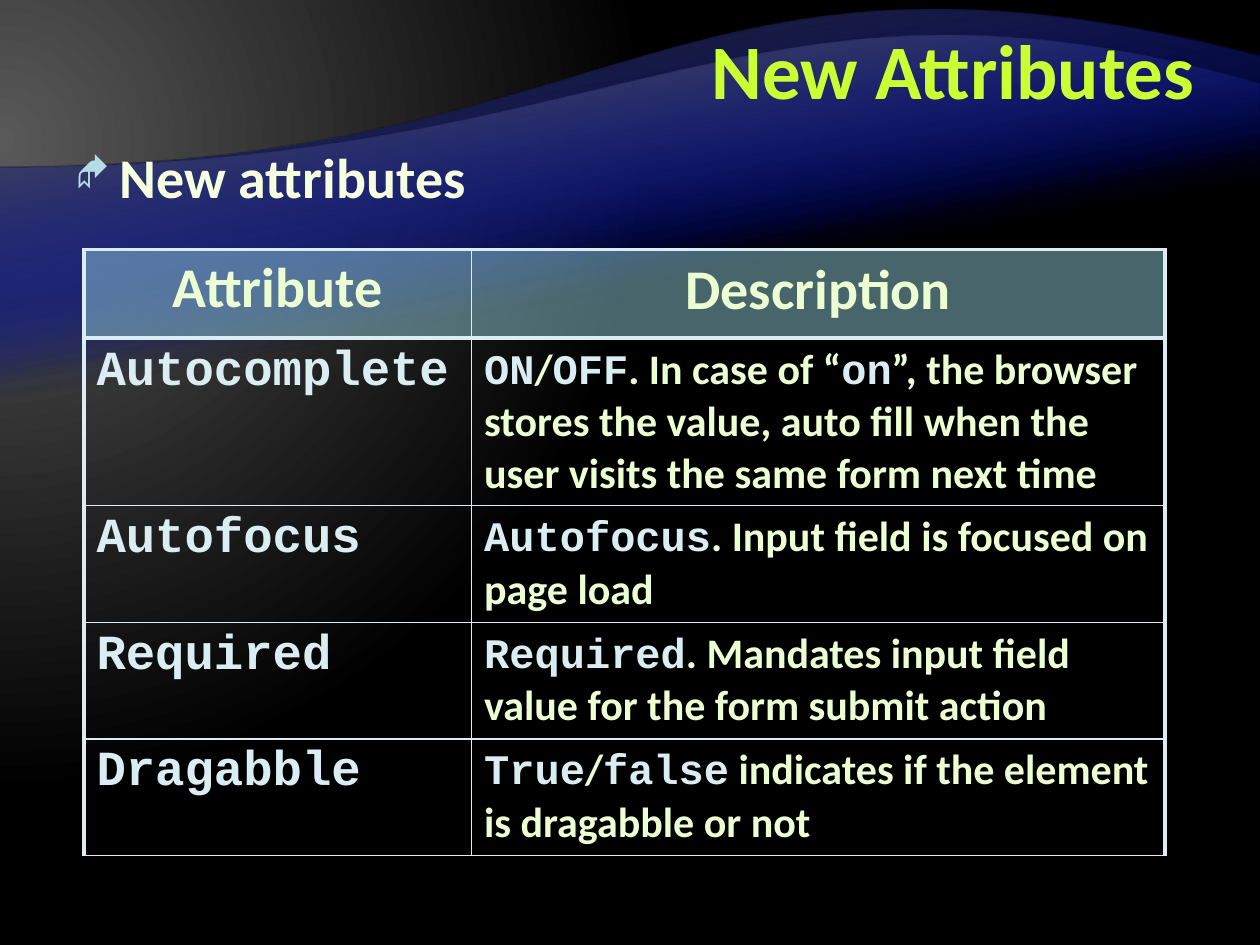
import pptx
import pptx.util
import pptx.dml.color
import pptx.enum.text
import pptx.oxml
import pptx.oxml.ns

Pt = pptx.util.Pt
Align = pptx.enum.text.PP_ALIGN
qn = pptx.oxml.ns.qn
PALE, ICE = "EBFFD2", "DAEDF2"
ROWS = [
    ("Autocomplete", "|ON|/|OFF|. In case of “|on|”, the browser stores the value, "
     "auto fill when the user visits the same form next time"),
    ("Autofocus", "|Autofocus|. Input field is focused on page load"),
    ("Required", "|Required|. Mandates input field value for the form submit action"),
    ("Dragabble", "|True|/|false| indicates if the element is dragabble or not"),
]
WAVES = [
    ((0, 32.4, 720, 437.8), [(0, 96), (360, 96), (384.5, -54), (720, 32.4)], "262626"),
    ((0, 48.2, 720, 352.8), [(0, 96), (360, 96), (430.5, -35.3), (720, 48.2)], "595959"),
]


def rgb(code):
    """Turn a hex string into a colour."""
    return pptx.dml.color.RGBColor.from_string(code)


def node(text):
    """Parse a piece of DrawingML."""
    head, tail = text.split(" ", 1)
    return pptx.oxml.parse_xml(f"{head} {pptx.oxml.ns.nsdecls('a')} {tail}")


def style(font, size, color, face="Calibri"):
    """Set a bold font."""
    font.size, font.name, font.bold = Pt(size), face, True
    font.color.rgb = rgb(color)


def blend(item, fill, stops, shade):
    """Give an item a gradient with its own stops and shading."""
    fill.gradient()
    grad = item.element.find(".//" + qn("a:gradFill"))
    for child in list(grad):
        grad.remove(child)
    marks = "".join(
        f'<a:gs pos="{pos * 1000}"><a:srgbClr val="{color}">'
        f'<a:alpha val="{alpha * 1000}"/></a:srgbClr></a:gs>'
        for pos, color, alpha in stops)
    grad.append(node(f"<a:gsLst >{marks}</a:gsLst>"))
    grad.append(node(shade))


def wave(slide, box, ends, color):
    """Draw a fading wave, upside down and then turned by half."""
    left, top, width, height = box
    turned = [(left + width - x, top + height - y) for x, y in ends]
    first, last = ([Pt(left + x), Pt(top + y)] for x, y in (turned[0], turned[3]))
    pen = slide.shapes.build_freeform(Pt(left), Pt(top), scale=1.0)
    pen.add_line_segments([(Pt(left + width), Pt(top)), first, last], close=True)
    shape = pen.convert_to_shape()
    marks = "".join(f'<a:pt x="{Pt(x)}" y="{Pt(y)}"/>' for x, y in turned[1:])
    line = shape.element.findall(".//" + qn("a:lnTo"))[-1]
    line.getparent().replace(line, node(f"<a:cubicBezTo >{marks}</a:cubicBezTo>"))
    shape.rotation = 180
    shape.shadow.inherit = False
    shape.line.fill.background()
    blend(shape, shape.fill, [(65, "000D9E", 0), (100, color, 100)],
          f'<a:lin ang="{80 * 60000}" scaled="0"/>')


def backdrop(slide):
    """Paint the dark background and its waves."""
    blend(slide, slide.background.fill, [(0, "595959", 100), (83, "000000", 100)],
          '<a:path path="circle"><a:fillToRect l="20000" t="30000" '
          'r="135000" b="100000"/></a:path>')
    for box, ends, color in WAVES * 2:
        wave(slide, box, [(x - box[0], y) for x, y in ends], color)


def label(slide, box, text):
    """Add a one-line text box and return its paragraph."""
    frame = slide.shapes.add_textbox(*map(Pt, box)).text_frame
    frame.word_wrap = True
    para = frame.paragraphs[0]
    para.text = text
    return para


def title(slide, box):
    """Place the slide title."""
    para = label(slide, box, "New Attributes")
    para.alignment, para.line_spacing = Align.RIGHT, Pt(44)
    style(para.font, 44, "CCFF33")


def bullet(slide, box):
    """Place the bulleted line."""
    para = label(slide, box, "New attributes")
    props = para._p.get_or_add_pPr()
    props.set("marL", str(Pt(25.2)))
    props.set("indent", str(-Pt(25.2)))
    for text in ('<a:buClr ><a:srgbClr val="B5DBE5"/></a:buClr>',
                 '<a:buSzPct val="70000"/>', '<a:buFont typeface="Wingdings"/>',
                 '<a:buChar char="◆"/>'):
        props.append(node(text))
    style(para.font, 32, "F5FFE0")


def border(cell, widths):
    """Rule the left, right, top and bottom of a cell."""
    props = cell._tc.get_or_add_tcPr()
    for spot, (side, width) in enumerate(zip("LRTB", widths)):
        props.insert(spot, node(
            f'<a:ln{side} w="{Pt(width)}"><a:solidFill><a:srgbClr val="{ICE}"/>'
            f'</a:solidFill></a:ln{side}>'))


def header(cell, text):
    """Fill a heading cell."""
    para = cell.text_frame.paragraphs[0]
    para.text, para.alignment = text, Align.CENTER
    style(para.font, 32, PALE)
    cell.fill.solid()
    cell.fill.fore_color.rgb = rgb("90CAD7")
    color = cell._tc.find(".//" + qn("a:tcPr")).find(".//" + qn("a:srgbClr"))
    color.append(node('<a:alpha val="50000"/>'))


def body(cell, text, size):
    """Fill a cell with text whose parts between bars are code."""
    para = cell.text_frame.paragraphs[0]
    for spot, part in enumerate(text.split("|")):
        if part:
            run = para.add_run()
            run.text = part
            look = (ICE, "Courier New") if spot % 2 else (PALE, "Calibri")
            style(run.font, size, *look)
    cell.fill.background()


def table(slide, box, cols, rows):
    """Place the table of attributes."""
    grid = slide.shapes.add_table(len(rows), len(cols), *map(Pt, box)).table
    grid.horz_banding = grid.first_row = False
    for col, width in zip(grid.columns, cols):
        col.width = Pt(width)
    for row, height in zip(grid.rows, rows):
        row.height = Pt(height)
    for cell, text in zip(grid.rows[0].cells, ("Attribute", "Description")):
        header(cell, text)
    grid.cell(0, 0).text_frame.paragraphs[0].line_spacing = 0.95
    for spot, (name, note) in enumerate(ROWS, 1):
        body(grid.cell(spot, 0), f"|{name}|", 28)
        body(grid.cell(spot, 1), note, 24)
    for r in range(len(rows)):
        for c in range(len(cols)):
            thick = (c == 0, c == 1, r < 2, r == 0)
            border(grid.cell(r, c), [2.25 if on else 1 for on in thick])


def main():
    """Build the slide and save it."""
    deck = pptx.Presentation()
    deck.slide_width, deck.slide_height = Pt(720), Pt(540)
    slide = deck.slides.add_slide(deck.slide_layouts[6])
    backdrop(slide)
    title(slide, (30, 18, 660, 48))
    bullet(slide, (36, 78, 648, 48))
    table(slide, (48, 142.6, 617.8, 346.2), (221.5, 396.3), (50.6, 95.8) + (66.6,) * 3)
    deck.save("out.pptx")


if __name__ == "__main__":
    main()
